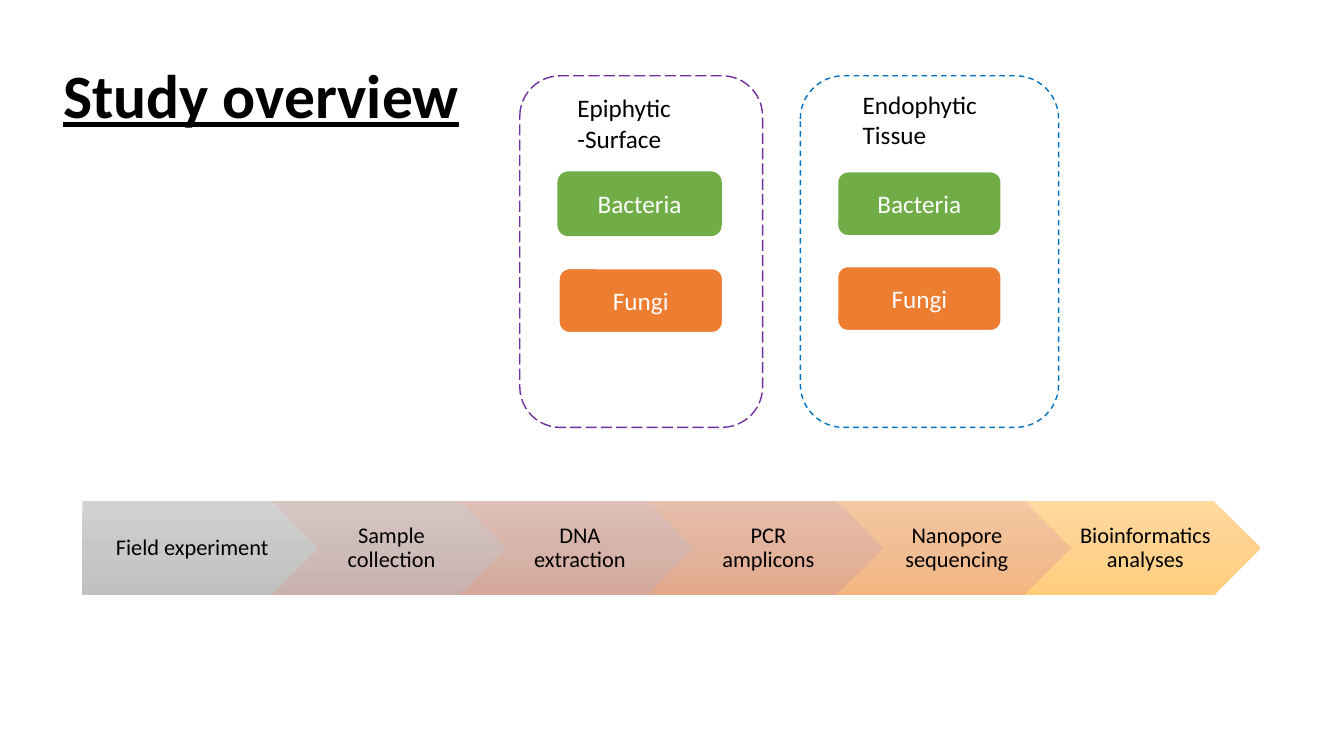
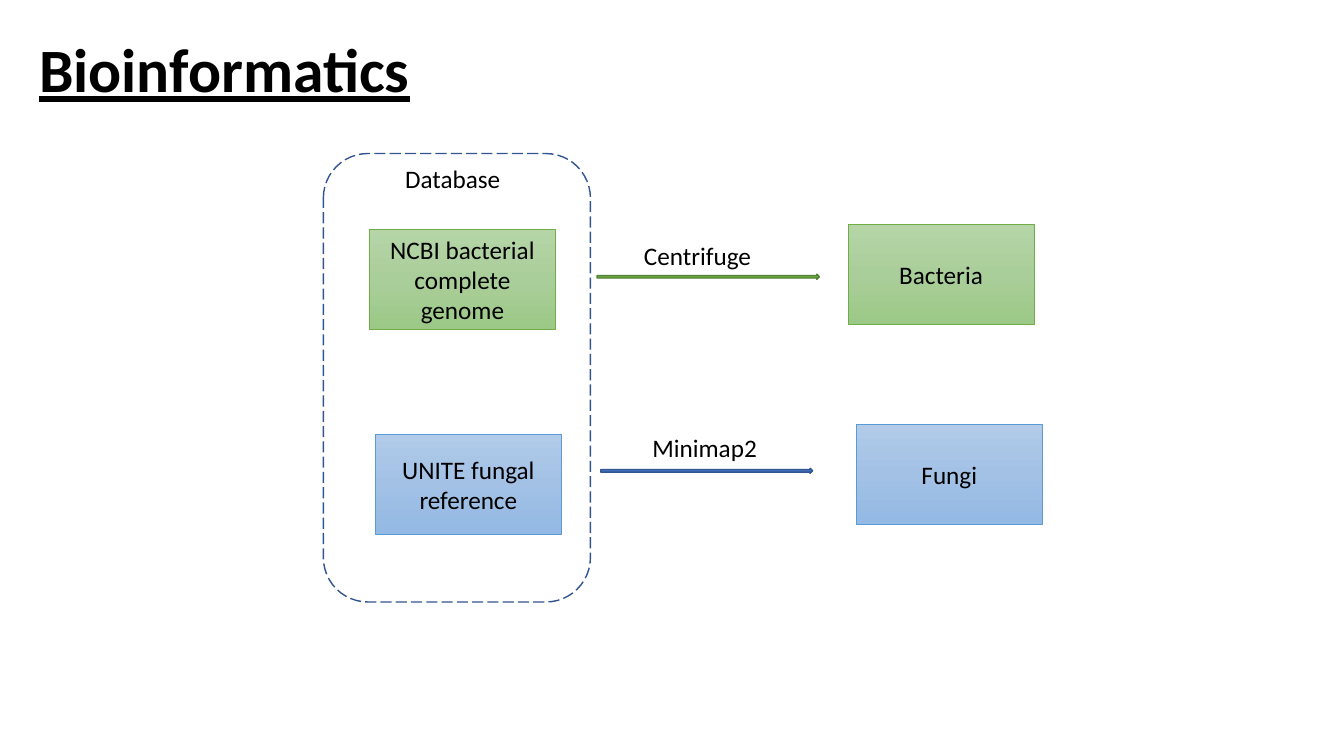
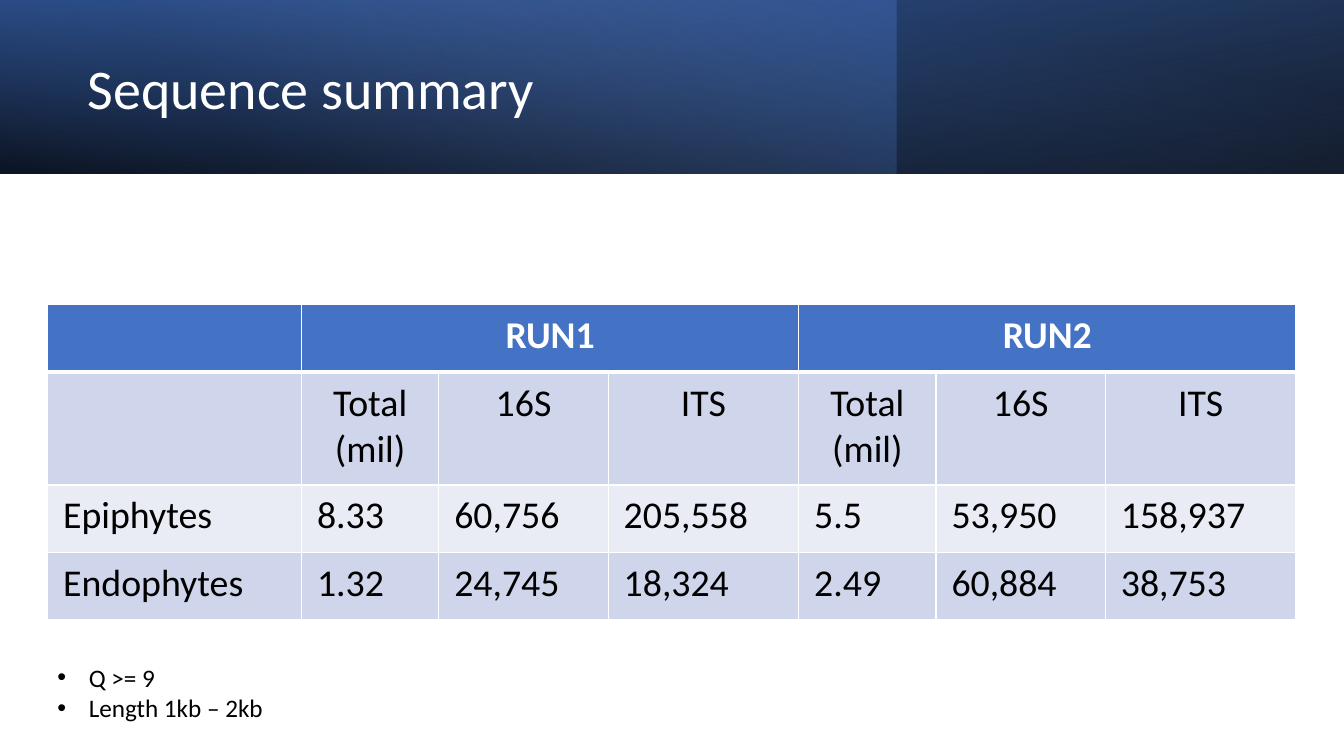
from dataclasses import dataclass
from typing import Optional

from pptx import Presentation
from pptx.dml.color import RGBColor
from pptx.enum.dml import MSO_LINE_DASH_STYLE as Dash
from pptx.enum.shapes import MSO_SHAPE as Shape
from pptx.enum.text import MSO_ANCHOR as Anchor, MSO_AUTO_SIZE as AutoSize, PP_ALIGN as Align
from pptx.oxml import parse_xml
from pptx.oxml.ns import nsdecls, qn
from pptx.util import Cm, Pt

# Shared look
FONT = "Calibri"
BLACK, WHITE = "000000", "FFFFFF"
GREEN, ORANGE, BLUE = "70AD47", "ED7D31", "4472C4"
DARK_GREEN, DARK_BLUE, LIGHT_BLUE = "538035", "325491", "5B9BD5"
PURPLE, SKY = "7030A0", "0070C0"
ROW_DARK, ROW_LIGHT = "CFD5EA", "E9EBF5"
SLIDE_W, SLIDE_H = 33.87, 19.05


@dataclass
class Box:
    """Position and size in centimetres."""
    x: float
    y: float
    w: float
    h: float


@dataclass
class Stop:
    """Gradient stop: position and opacity in percent."""
    pos: int
    color: str
    alpha: int = 100


@dataclass
class Gradient:
    stops: list[Stop]
    angle: int = 90


@dataclass
class Line:
    color: str
    width: float = 1
    dash: Optional[Dash] = None


@dataclass
class Style:
    size: float = 18
    color: str = BLACK
    bold: bool = False
    underline: bool = False
    align: Optional[Align] = None
    spacing: Optional[float] = None


def rgb(value: str) -> RGBColor:
    return RGBColor.from_string(value)


def vertical(*colors: str) -> Gradient:
    return Gradient([Stop(pos, c) for pos, c in zip((0, 50, 100), colors)])


def place(box: Box) -> tuple:
    return Cm(box.x), Cm(box.y), Cm(box.w), Cm(box.h)


def write(tf, lines: list[str], style: Style) -> None:
    """Write one paragraph per line."""
    for i, text in enumerate(lines):
        p = tf.paragraphs[0] if i == 0 else tf.add_paragraph()
        p.alignment = style.align
        if style.spacing:
            p.line_spacing = style.spacing
        r = p.add_run()
        r.text = text
        r.font.name = FONT
        r.font.size = Pt(style.size)
        r.font.bold = style.bold
        r.font.underline = style.underline
        r.font.color.rgb = rgb(style.color)


def set_gradient(sp, grad: Gradient) -> None:
    stops = "".join(
        f'<a:gs pos="{stop.pos * 1000}"><a:srgbClr val="{stop.color}">'
        f'<a:alpha val="{stop.alpha * 1000}"/></a:srgbClr></a:gs>'
        for stop in grad.stops)
    fill = parse_xml(
        f'<a:gradFill {nsdecls("a")} rotWithShape="1"><a:gsLst>{stops}</a:gsLst>'
        f'<a:lin ang="{grad.angle * 60000}" scaled="0"/></a:gradFill>')
    sp.fill.background()
    props = sp._element.spPr
    props.replace(props.find(qn("a:noFill")), fill)


def add_shape(s, kind: Shape, box: Box, fill: "str | Gradient | None" = None,
              line: Optional[Line] = None, text: str = "", style: Optional[Style] = None):
    sp = s.shapes.add_shape(kind, *place(box))
    sp.shadow.inherit = False
    if isinstance(fill, Gradient):
        set_gradient(sp, fill)
    elif fill:
        sp.fill.solid()
        sp.fill.fore_color.rgb = rgb(fill)
    else:
        sp.fill.background()
    if line:
        sp.line.color.rgb = rgb(line.color)
        sp.line.width = Pt(line.width)
        if line.dash:
            sp.line.dash_style = line.dash
    else:
        sp.line.fill.background()
    if text:
        sp.text_frame.word_wrap = True
        sp.text_frame.vertical_anchor = Anchor.MIDDLE
        write(sp.text_frame, [text], style or Style(align=Align.CENTER))
    return sp


def add_label(s, box: Box, *lines: str):
    tb = s.shapes.add_textbox(*place(box))
    tb.text_frame.word_wrap = True
    tb.text_frame.auto_size = AutoSize.SHAPE_TO_FIT_TEXT
    write(tb.text_frame, list(lines), Style())
    return tb


def add_title(s, box: Box, text: str, size: float = 44, color: str = BLACK,
              strong: bool = True) -> None:
    tf = s.shapes.add_textbox(*place(box)).text_frame
    tf.word_wrap = True
    tf.vertical_anchor = Anchor.MIDDLE
    write(tf, [text], Style(size, color, strong, strong, spacing=0.9))


def new_slide(prs):
    return prs.slides.add_slide(prs.slide_layouts[6])


# Slide 1: study overview
STEPS = [
    ("Field experiment", vertical("D2D2D2", "C8C8C8", "C0C0C0")),
    ("Sample collection", vertical("D7C7C4", "CEBCB9", "C9B1AE")),
    ("DNA extraction", vertical("DEC0B7", "D7B4AA", "D4A89B")),
    ("PCR amplicons", vertical("E7BFAB", "E3B39D", "E2A88B")),
    ("Nanopore sequencing", vertical("F4C8A2", "F1BE94", "F3B680")),
    ("Bioinformatics analyses", vertical("FFD99E", "FFD290", "FFCE7C")),
]


def add_process(s) -> None:
    step_w, step_h = 5.94, 2.38
    pitch = step_w - step_h / 2
    for i, (text, grad) in enumerate(STEPS):
        kind = Shape.CHEVRON if i else Shape.PENTAGON
        box = Box(2.08 + i * pitch, 12.62, step_w, step_h)
        sp = add_shape(s, kind, box, grad, text=text,
                       style=Style(16, align=Align.CENTER, spacing=0.9))
        sp.text_frame.margin_left = Cm(0.18 if i else 0.23)
        sp.text_frame.margin_right = Cm(0.05)


def overview_slide(prs) -> None:
    s = new_slide(prs)
    add_title(s, Box(1.35, 0.64, 29.21, 3.68), "Study overview")
    add_process(s)

    # Habitat panels
    add_shape(s, Shape.ROUNDED_RECTANGLE, Box(13.1, 1.91, 6.12, 8.86),
              line=Line(PURPLE, dash=Dash.LONG_DASH))
    add_shape(s, Shape.ROUNDED_RECTANGLE, Box(20.17, 1.91, 6.51, 8.86),
              line=Line(SKY, dash=Dash.DASH))
    add_label(s, Box(14.3, 2.21, 4.75, 1.8), "Epiphytic -Surface")
    add_label(s, Box(21.49, 2.13, 4.75, 1.8), "Endophytic", "Tissue")

    # Organism groups
    edge = Line(WHITE, 1.5)
    for x, y, text, color, line in (
            (14.05, 4.32, "Bacteria", GREEN, None),
            (14.08, 6.76, "Fungi", ORANGE, edge),
            (21.1, 4.32, "Bacteria", GREEN, edge),
            (21.1, 6.71, "Fungi", ORANGE, edge)):
        add_shape(s, Shape.ROUNDED_RECTANGLE, Box(x, y, 4.14, 1.63), color, line, text,
                  Style(color=WHITE, align=Align.CENTER))


# Slide 2: bioinformatics
@dataclass
class Pipeline:
    reference: str
    reference_at: tuple[float, float]
    result: str
    result_at: tuple[float, float]
    tool: str
    tool_at: tuple[float, float]
    arrow: Box
    fill: Gradient
    edge: str
    arrow_fill: str
    arrow_edge: str


PIPELINES = [
    Pipeline("NCBI bacterial complete genome", (9.31, 5.78), "Bacteria", (21.37, 5.65),
             "Centrifuge", (15.98, 5.94), Box(15.05, 6.91, 5.6, 0.13),
             vertical("B5D5A7", "AACE9A", "9CC987"), GREEN, GREEN, DARK_GREEN),
    Pipeline("UNITE fungal reference", (9.46, 10.94), "Fungi", (21.58, 10.7),
             "Minimap2", (16.19, 10.78), Box(15.14, 11.8, 5.34, 0.13),
             vertical("B1CBE9", "A3C1E5", "93B9E4"), LIGHT_BLUE, BLUE, DARK_BLUE),
]


def bioinformatics_slide(prs) -> None:
    s = new_slide(prs)
    add_title(s, Box(0.74, 0, 29.21, 3.68), "Bioinformatics")
    add_shape(s, Shape.ROUNDED_RECTANGLE, Box(8.15, 3.87, 6.73, 11.3),
              line=Line(DARK_BLUE, dash=Dash.LONG_DASH))
    add_label(s, Box(9.96, 3.99, 3.43, 1.02), "Database")
    for pipe in PIPELINES:
        for text, at in ((pipe.reference, pipe.reference_at), (pipe.result, pipe.result_at)):
            add_shape(s, Shape.RECTANGLE, Box(*at, 4.69, 2.52), pipe.fill,
                      Line(pipe.edge, 0.5), text)
        add_shape(s, Shape.RIGHT_ARROW, pipe.arrow, pipe.arrow_fill, Line(pipe.arrow_edge))
        add_label(s, Box(*pipe.tool_at, 3.43, 1.02), pipe.tool)


# Slide 3: sequence summary
COLUMNS = [6.4] + [3.46, 4.27, 4.8] * 2
ROWS = [1.7, 2.84, 1.7, 1.7]
ROW_FILLS = [BLUE, ROW_DARK, ROW_LIGHT, ROW_DARK]
CELLS = [
    ["", "RUN1", "", "", "RUN2", "", ""],
    [""] + ["Total (mil)", "16S", "ITS"] * 2,
    ["Epiphytes", "8.33", "60,756", "205,558", "5.5", "53,950", "158,937"],
    ["Endophytes", "1.32", "24,745", "18,324", "2.49", "60,884", "38,753"],
]


def set_borders(cell, row: int) -> None:
    """White rules, with a heavy one under the header row."""
    widths = {"L": 1, "R": 1, "T": 3 if row == 1 else 1, "B": 3 if row == 0 else 1}
    props = cell._tc.get_or_add_tcPr()
    for side, width in widths.items():
        props.append(parse_xml(
            f'<a:ln{side} {nsdecls("a")} w="{Pt(width)}"><a:solidFill>'
            f'<a:srgbClr val="{WHITE}"/></a:solidFill></a:ln{side}>'))


def add_summary_table(s) -> None:
    box = Box(1.2, 7.68, sum(COLUMNS), sum(ROWS))
    table = s.shapes.add_table(len(ROWS), len(COLUMNS), *place(box)).table
    for col, width in zip(table.columns, COLUMNS):
        col.width = Cm(width)
    for i, (row, height) in enumerate(zip(table.rows, ROWS)):
        row.height = Cm(height)
        style = Style(27, WHITE if i == 0 else BLACK, bold=i == 0,
                      align=Align.CENTER if i < 2 else Align.LEFT)
        for cell, text in zip(row.cells, CELLS[i]):
            set_borders(cell, i)
            cell.fill.solid()
            cell.fill.fore_color.rgb = rgb(ROW_FILLS[i])
            cell.margin_left = cell.margin_right = Cm(0.39)
            cell.margin_top = cell.margin_bottom = Cm(0.2)
            if text:
                write(cell.text_frame, [text], style)
    for first in (1, 4):
        table.cell(0, first).merge(table.cell(0, first + 2))


def add_banner(s) -> None:
    height = 4.37
    full = Box(0, 0, SLIDE_W, height)
    base = add_shape(s, Shape.RECTANGLE, full,
                     Gradient([Stop(0, BLACK, 96), Stop(100, "2F5597")], 100))
    base.rotation = 180
    add_shape(s, Shape.RECTANGLE, Box(0, 0, 22.58, height),
              Gradient([Stop(0, BLUE, 41), Stop(74, "8FAADC", 0)], 140))
    shade = add_shape(s, Shape.RECTANGLE, full,
                      Gradient([Stop(0, BLACK, 63), Stop(78, BLUE, 15)], 260))
    for sp in (base, shade):
        sp._element.spPr.xfrm.set("flipH", "1")


def add_bullets(tb) -> None:
    for p in tb.text_frame.paragraphs:
        props = p._p.get_or_add_pPr()
        props.set("marL", str(Cm(0.79)))
        props.set("indent", str(-Cm(0.79)))
        props.append(parse_xml(f'<a:buFont {nsdecls("a")} typeface="Arial"/>'))
        props.append(parse_xml(f'<a:buChar {nsdecls("a")} char="•"/>'))


def summary_slide(prs) -> None:
    s = new_slide(prs)
    add_banner(s)
    add_title(s, Box(1.96, 0.69, 19.61, 3.23), "Sequence summary", 40, WHITE, strong=False)
    add_summary_table(s)
    add_bullets(add_label(s, Box(1.2, 16.56, 10.72, 1.8), "Q >= 9", "Length 1kb – 2kb"))


def main() -> None:
    prs = Presentation()
    prs.slide_width, prs.slide_height = Cm(SLIDE_W), Cm(SLIDE_H)
    overview_slide(prs)
    bioinformatics_slide(prs)
    summary_slide(prs)
    prs.save("out.pptx")


if __name__ == "__main__":
    main()
